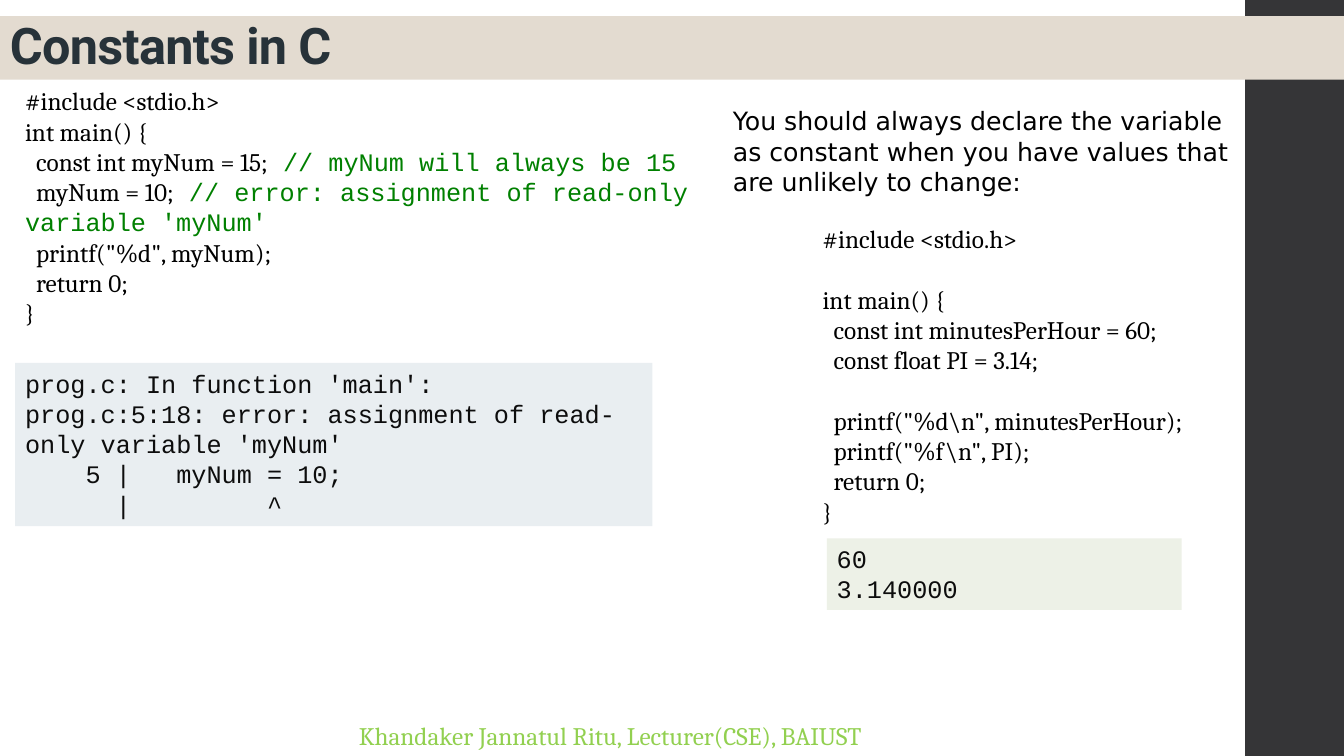
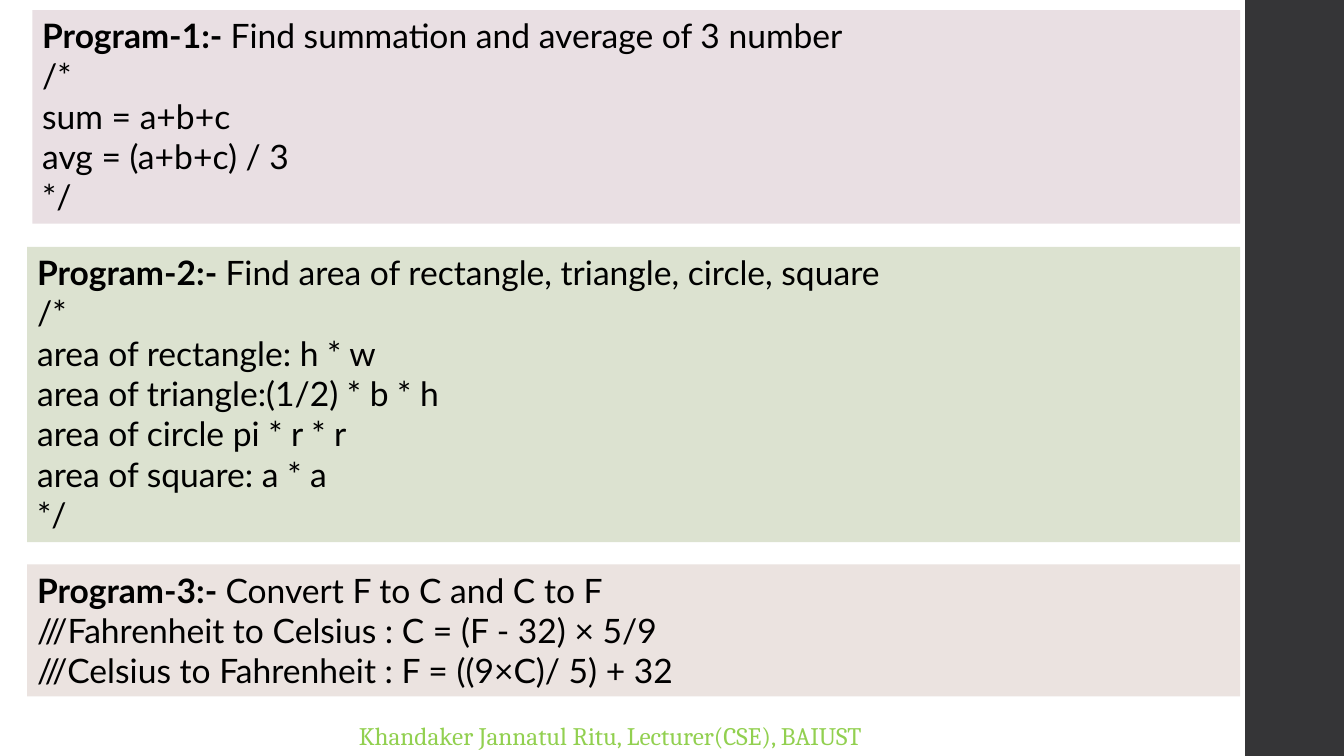
import dataclasses

import pptx
import pptx.dml.color
import pptx.enum.shapes
import pptx.enum.text
import pptx.util

Inches = pptx.util.Inches


@dataclasses.dataclass(frozen=True)
class Style:
    font: str
    size: int
    color: str
    bold: bool = False
    tracking: int = 0


@dataclasses.dataclass(frozen=True)
class Theme:
    width: float = 13.33
    height: float = 7.5
    sidebar_left: float = 12.35
    blank_line: float = 21.6
    sidebar: str = "353537"
    title_band: str = "E3DBD0"
    error_panel: str = "E9EEF1"
    output_panel: str = "EDF1E7"
    program_fills: tuple = ("E9DFE3", "DCE2D0", "EBE3E0")
    title: Style = Style("Roboto", 36, "273239", True, -50)
    footer: Style = Style("Cambria", 18, "92D050")
    code: Style = Style("Cambria", 18, "000000")
    comment: Style = Style("Courier New", 18, "008000")
    console: Style = Style("Courier New", 18, "0D0D0D")
    advice: Style = Style("DejaVu Sans", 18, "000000")
    program: Style = Style("Lato", 24, "000000")
    program_label: Style = Style("Lato", 24, "000000", True)


THEME = Theme()
FOOTER = "Khandaker Jannatul Ritu, Lecturer(CSE), BAIUST"

CONSTANT_CODE = (
    "#include <stdio.h>",
    "int main() {",
    (
        ("  const int myNum = 15;", THEME.code),
        (" // myNum will always be 15", THEME.comment),
    ),
    (
        ("  myNum = 10;", THEME.code),
        (" // error: assignment of read-only variable 'myNum'", THEME.comment),
    ),
    '  printf("%d", myNum);',
    "  return 0;",
    "}",
)
ERROR_MESSAGE = (
    "prog.c: In function 'main':",
    "prog.c:5:18: error: assignment of read-only variable 'myNum'",
    "    5 |   myNum = 10;",
    "      |         ^",
)
ADVICE = (
    "You should always declare the variable as constant when you have "
    "values that are unlikely to change:"
)
MINUTES_CODE = (
    "#include <stdio.h>",
    "",
    "int main() {",
    "  const int minutesPerHour = 60;",
    "  const float PI = 3.14;",
    "",
    r'  printf("%d\n", minutesPerHour);',
    r'  printf("%f\n", PI);',
    "  return 0;",
    "}",
)
PROGRAMS = (
    (
        (0.32, 0.1, 11.98, 2.12),
        "Find summation and average of 3 number",
        ("/*", "sum = a+b+c", "avg = (a+b+c) / 3", "*/"),
    ),
    (
        (0.27, 2.45, 12.03, 2.93),
        "Find area of rectangle, triangle, circle, square",
        (
            "/*",
            "area of rectangle: h * w",
            "area of triangle:(1/2) * b * h",
            "area of circle pi * r * r",
            "area of square: a * a",
            "*/",
        ),
    ),
    (
        (0.27, 5.6, 12.03, 1.31),
        "Convert F to C and C to F",
        (
            "///Fahrenheit to Celsius : C = (F - 32) × 5/9",
            "///Celsius to Fahrenheit : F = ((9×C)/ 5) + 32",
        ),
    ),
)


def rgb(color):
    return pptx.dml.color.RGBColor.from_string(color)


def add_run(paragraph, text, style):
    run = paragraph.add_run()
    run.text = text
    run.font.name = style.font
    run.font.size = pptx.util.Pt(style.size)
    run.font.bold = style.bold
    run.font.color.rgb = rgb(style.color)
    if style.tracking:
        run.font._element.set("spc", str(style.tracking))


def write_lines(shape, lines, style):
    frame = shape.text_frame
    frame.word_wrap = True
    paragraph = frame.paragraphs[0]
    after_blank = False
    for index, line in enumerate(lines):
        if not line:
            after_blank = True
            continue
        if index:
            paragraph = frame.add_paragraph()
        paragraph.alignment = pptx.enum.text.PP_ALIGN.LEFT
        if after_blank:
            paragraph.space_before = pptx.util.Pt(THEME.blank_line)
            after_blank = False
        runs = ((line, style),) if isinstance(line, str) else line
        for text, run_style in runs:
            add_run(paragraph, text, run_style)


def add_text(slide, box, lines, style):
    shape = slide.shapes.add_textbox(*map(Inches, box))
    write_lines(shape, lines, style)


def add_panel(slide, box, fill, lines=(), style=None):
    shape = slide.shapes.add_shape(
        pptx.enum.shapes.MSO_SHAPE.RECTANGLE, *map(Inches, box)
    )
    shape.shadow.inherit = False
    shape.fill.solid()
    shape.fill.fore_color.rgb = rgb(fill)
    shape.line.fill.background()
    shape.text_frame.vertical_anchor = pptx.enum.text.MSO_ANCHOR.TOP
    write_lines(shape, lines, style)
    return shape


def add_title(slide, text):
    band = add_panel(
        slide, (0, 0.16, THEME.width, 0.63), THEME.title_band, [text], THEME.title
    )
    band.text_frame.vertical_anchor = pptx.enum.text.MSO_ANCHOR.BOTTOM
    band.text_frame.paragraphs[0].line_spacing = 0.8


def add_slide(presentation):
    slide = presentation.slides.add_slide(presentation.slide_layouts[6])
    sidebar_width = THEME.width - THEME.sidebar_left
    add_panel(
        slide, (THEME.sidebar_left, 0, sidebar_width, THEME.height), THEME.sidebar
    )
    add_text(slide, (3.46, 7.1, 7.41, 0.4), [FOOTER], THEME.footer)
    return slide


def build_constants(presentation):
    slide = add_slide(presentation)
    add_text(slide, (0.15, 0.8, 7.17, 2.52), CONSTANT_CODE, THEME.code)
    add_text(slide, (7.17, 1, 5.29, 1.01), [ADVICE], THEME.advice)
    add_text(slide, (8.06, 2.17, 4.2, 3.13), MINUTES_CODE, THEME.code)
    add_panel(
        slide,
        (8.2, 5.34, 3.52, 0.71),
        THEME.output_panel,
        ("60", "3.140000"),
        THEME.console,
    )
    add_panel(
        slide, (0.15, 3.6, 6.32, 1.62), THEME.error_panel, ERROR_MESSAGE, THEME.console
    )
    add_title(slide, "Constants in C")


def build_programs(presentation):
    slide = add_slide(presentation)
    cards = zip(PROGRAMS, THEME.program_fills)
    for number, ((box, task, details), fill) in enumerate(cards, 1):
        heading = (
            (f"Program-{number}:- ", THEME.program_label),
            (task, THEME.program),
        )
        add_panel(slide, box, fill, (heading, *details), THEME.program)


def main():
    presentation = pptx.Presentation()
    presentation.slide_width = Inches(THEME.width)
    presentation.slide_height = Inches(THEME.height)
    build_constants(presentation)
    build_programs(presentation)
    presentation.save("out.pptx")


if __name__ == "__main__":
    main()
